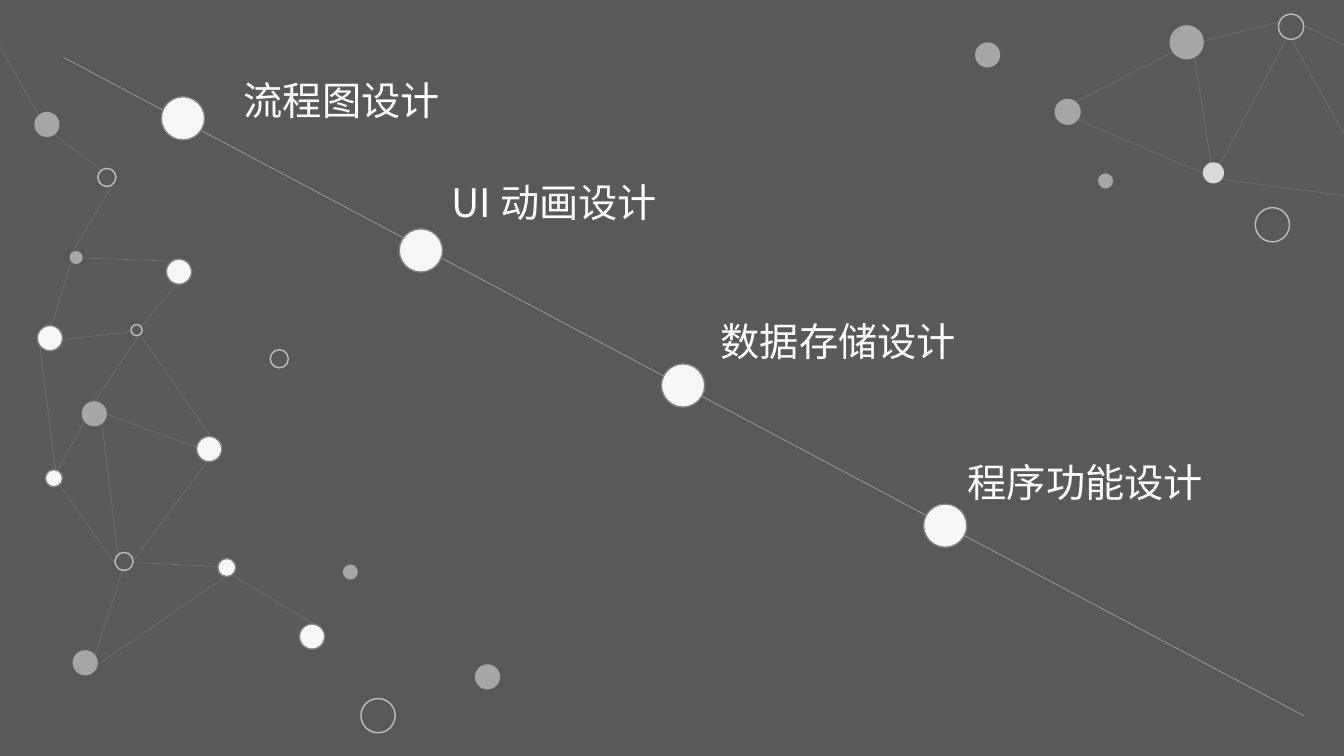
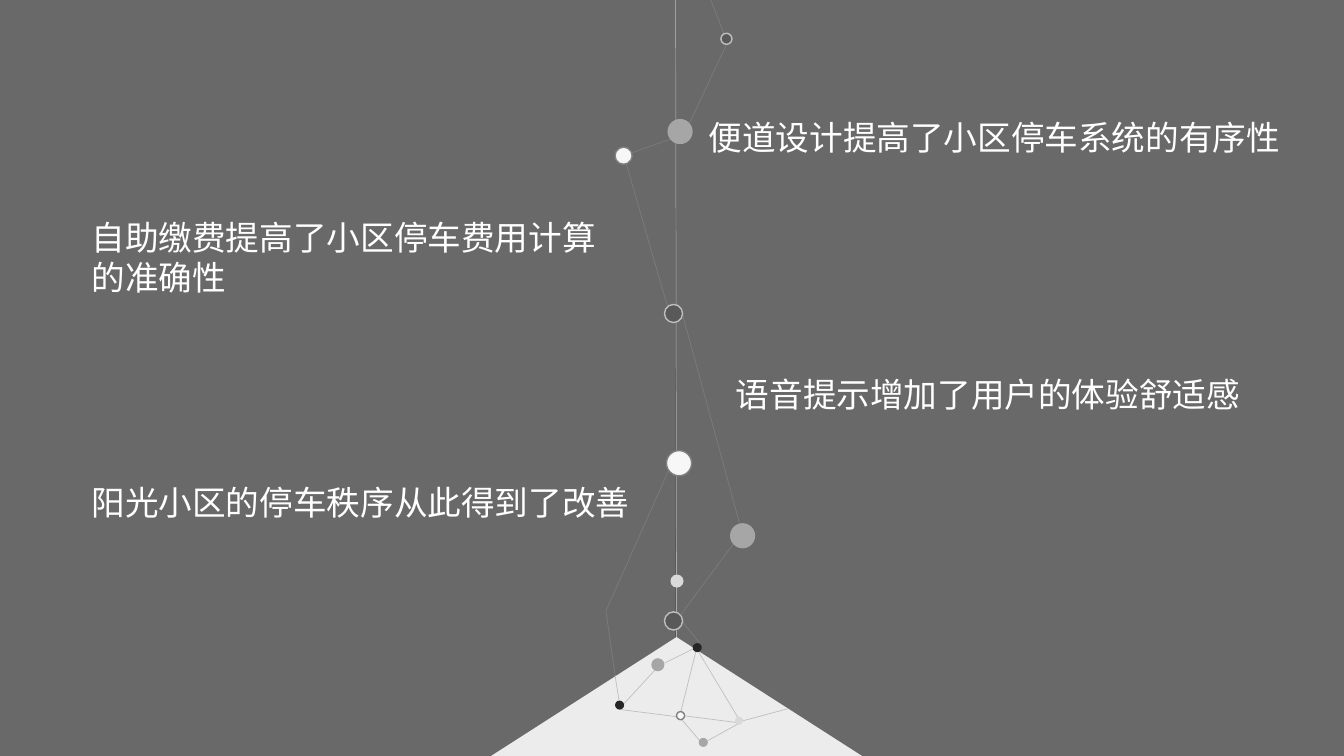
from lxml import etree
from pptx import Presentation
from pptx.dml.color import RGBColor
from pptx.enum.shapes import MSO_CONNECTOR as Connector, MSO_SHAPE as Shape
from pptx.oxml.ns import qn
from pptx.util import Pt

PX = 9144  # EMU in one px, 100 px to the inch
WIDTH, HEIGHT = 1333, 750
FONT = "Noto Sans CJK SC"

WHITE = RGBColor(0xFF, 0xFF, 0xFF)
CHARCOAL = RGBColor(0x59, 0x59, 0x59)
SLATE = RGBColor(0x69, 0x69, 0x69)
SILVER = RGBColor(0xBF, 0xBF, 0xBF)
GREY = RGBColor(0xA6, 0xA6, 0xA6)
RIM = RGBColor(0x80, 0x80, 0x80)
SNOW = RGBColor(0xF7, 0xF7, 0xF7)
MIST = RGBColor(0xD9, 0xD9, 0xD9)
PEAK = RGBColor(0xEC, 0xEC, 0xEC)
INK = RGBColor(0x26, 0x26, 0x26)

# Dot styles: fill, outline
DOT_STYLES = {
    "ring": (CHARCOAL, SILVER),
    "snow": (SNOW, RIM),
    "grey": (GREY, None),
    "mist": (MIST, None),
    "ink": (INK, None),
}

# Design steps: label, label left, top, width, then dot left, top
STEP_DOT = 43
STEP_AXIS = (63, 57, 1293, 710)
STEPS = [
    ("流程图设计", (232, 71, 262), (160, 96)),
    ("UI 动画设计", (438, 172, 262), (396, 227)),
    ("数据存储设计", (705, 310, 262), (656, 361)),
    ("程序功能设计", (950, 450, 273), (916, 500)),
]
# Network links: x1, y1, x2, y2
STEP_LINKS = [
    (82, 256, 169, 259), (53, 133, 101, 169), (112, 182, 72, 250),
    (71, 259, 51, 323), (62, 337, 131, 329), (94, 398, 137, 334),
    (39, 339, 55, 466), (84, 418, 51, 477), (101, 419, 117, 550),
    (209, 433, 139, 332), (116, 562, 59, 481), (94, 650, 122, 565),
    (105, 411, 196, 444), (140, 324, 176, 281), (206, 457, 131, 558),
    (131, 558, 216, 562), (231, 571, 311, 619), (224, 572, 97, 659),
    (0, 46, 38, 114), (1185, 43, 1272, 21), (1333, 45, 1293, 25),
    (1333, 194, 1212, 178), (1333, 133, 1273, 25), (1281, 29, 1210, 163),
    (1202, 168, 1184, 52), (1067, 101, 1180, 43), (1069, 119, 1200, 175),
]
# Network dots by style: left, top, diameter
STEP_DOTS = {
    "ring": [(97, 167, 18), (114, 548, 18), (268, 347, 18), (130, 322, 11),
             (358, 693, 34), (1268, 14, 25), (1245, 206, 34)],
    "snow": [(37, 323, 25), (195, 433, 25), (165, 257, 25), (45, 466, 17),
             (216, 554, 18), (297, 619, 25)],
    "grey": [(34, 111, 25), (81, 398, 25), (69, 249, 13), (72, 645, 25),
             (471, 659, 25), (340, 560, 15), (1046, 98, 26), (1160, 25, 34),
             (967, 42, 25), (1089, 172, 15)],
    "mist": [(1193, 161, 21)],
}

# Benefits: text, left, top, width, height, wrap
BENEFITS = [
    ("便道设计提高了小区停车系统的有序性", (693, 111, 590, 50), True),
    ("自助缴费提高了小区停车费用计算的准确性", (81, 210, 528, 91), True),
    ("语音提示增加了用户的体验舒适感", (720, 366, 526, 50), True),
    ("阳光小区的停车秩序从此得到了改善", (81, 473, 553, 50), False),
]
MOUNTAIN = (487, 632, 368, 118)
SPINE_X = 670
TRAIL_LINKS = [
    (705, 0, 721, 41), (684, 122, 721, 43), (665, 138, 617, 155),
    (662, 304, 619, 155), (734, 521, 677, 312), (675, 610, 739, 524),
    (601, 606, 663, 467), (610, 670, 601, 606), (694, 638, 677, 617),
]
MOUNTAIN_LINKS = [
    (659, 658, 687, 644), (654, 660, 619, 698), (614, 695, 610, 670),
    (672, 709, 695, 736), (690, 647, 674, 711), (736, 716, 698, 737),
    (678, 710, 732, 717), (732, 712, 693, 647), (782, 703, 737, 715),
    (616, 704, 671, 711),
]
TRAIL_DOTS = {
    "ring": [(659, 302, 18), (659, 607, 18), (715, 33, 11)],
    "snow": [(661, 447, 25), (610, 146, 17), (671, 706, 8)],
    "grey": [(662, 118, 25), (724, 519, 25), (646, 653, 13), (693, 732, 9)],
    "mist": [(729, 711, 8), (665, 570, 13)],
    "ink": [(610, 695, 9), (687, 638, 9)],
}


def scaled(lengths):
    return [length * PX for length in lengths]


def add_slide(deck, background):
    slide = deck.slides.add_slide(deck.slide_layouts[6])
    slide.background.fill.solid()
    slide.background.fill.fore_color.rgb = background
    return slide


def add_line(slide, ends, color=SILVER, width=0.5, opacity=100):
    line = slide.shapes.add_connector(Connector.STRAIGHT, *scaled(ends))
    line.line.color.rgb = color
    line.line.width = Pt(width)
    if opacity < 100:
        tint = line._element.spPr.find(".//" + qn("a:srgbClr"))
        etree.SubElement(tint, qn("a:alpha")).set("val", str(opacity * 1000))
    etree.SubElement(line._element.spPr, qn("a:effectLst"))
    return line


def add_solid(slide, preset, box, fill, outline=None):
    solid = slide.shapes.add_shape(preset, *scaled(box))
    solid.shadow.inherit = False
    solid.fill.solid()
    solid.fill.fore_color.rgb = fill
    if outline is None:
        solid.line.fill.background()
    else:
        solid.line.color.rgb = outline
        solid.line.width = Pt(1)
    return solid


def add_dot(slide, left, top, size, style):
    add_solid(slide, Shape.OVAL, (left, top, size, size), *DOT_STYLES[style])


def add_network(slide, links, dots, opaque_links=()):
    for ends in links:
        add_line(slide, ends, opacity=21)
    for ends in opaque_links:
        add_line(slide, ends)
    for style, places in dots.items():
        for left, top, size in places:
            add_dot(slide, left, top, size, style)


def add_text(slide, text, box, size, color=WHITE, wrap=True):
    frame = slide.shapes.add_textbox(*scaled(box)).text_frame
    frame.word_wrap = wrap
    run = frame.paragraphs[0].add_run()
    run.text = text
    run.font.size = Pt(size)
    run.font.color.rgb = color
    run.font.name = FONT
    east_asian = etree.SubElement(run._r.get_or_add_rPr(), qn("a:ea"))
    east_asian.set("typeface", FONT)


def build_steps(deck):
    slide = add_slide(deck, CHARCOAL)
    add_line(slide, STEP_AXIS, WHITE, opacity=43)
    add_network(slide, STEP_LINKS, STEP_DOTS)
    for label, place, dot in STEPS:
        add_dot(slide, *dot, STEP_DOT, "snow")
        add_text(slide, label, (*place, 57), 28)


def build_benefits(deck):
    slide = add_slide(deck, SLATE)
    # Spine that runs down to the mountain top
    add_line(slide, (SPINE_X, 0, SPINE_X, HEIGHT), CHARCOAL, width=1)
    mountain = add_solid(slide, Shape.ISOSCELES_TRIANGLE, MOUNTAIN, PEAK)
    spine = add_line(slide, (SPINE_X, 0, SPINE_X, MOUNTAIN[1]), WHITE, opacity=43)
    spine.end_connect(mountain, 0)
    add_network(slide, TRAIL_LINKS, TRAIL_DOTS, MOUNTAIN_LINKS)
    for text, box, wrap in BENEFITS:
        add_text(slide, text, box, 24, wrap=wrap)


def main():
    deck = Presentation()
    deck.slide_width, deck.slide_height = scaled((WIDTH, HEIGHT))
    build_steps(deck)
    build_benefits(deck)
    deck.save("out.pptx")


if __name__ == "__main__":
    main()
